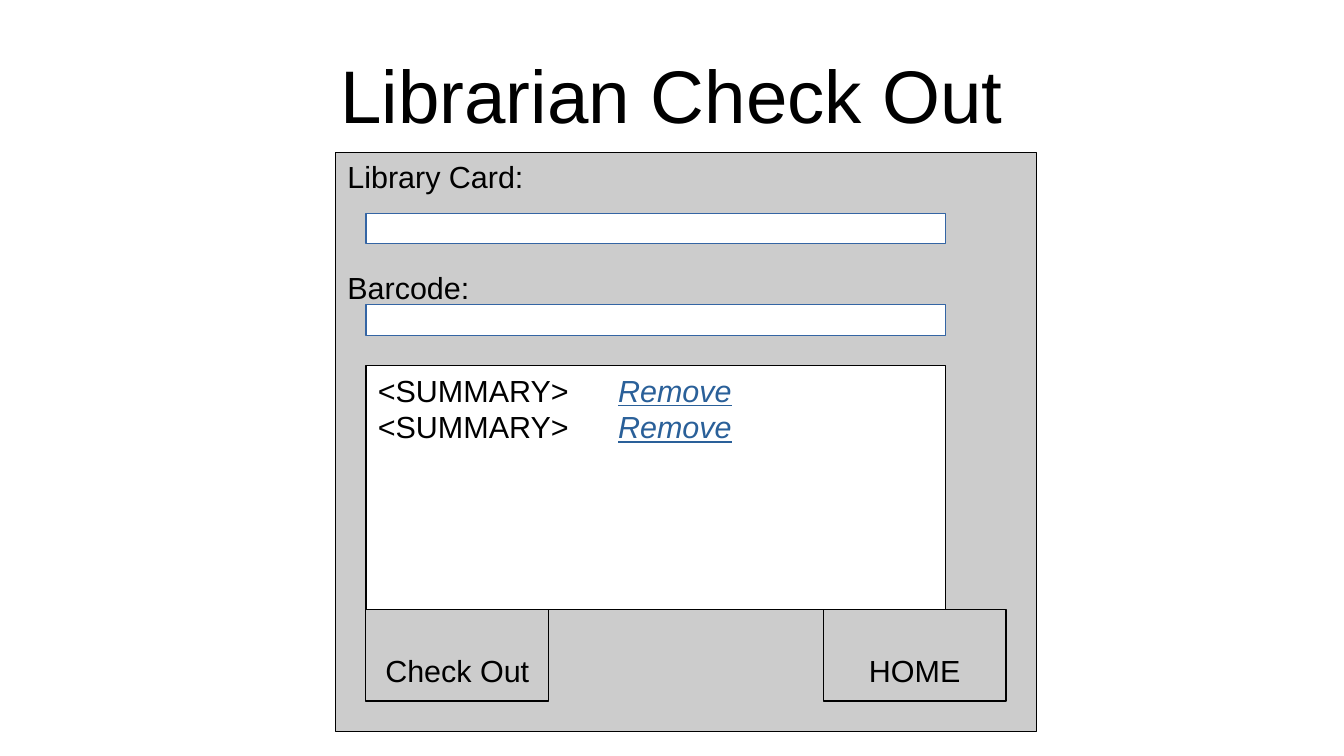
from pptx import Presentation
from pptx.dml.color import RGBColor
from pptx.enum.shapes import MSO_SHAPE
from pptx.enum.text import MSO_ANCHOR, PP_ALIGN
from pptx.oxml.ns import qn
from pptx.util import Inches, Pt
from lxml import etree

RECT = MSO_SHAPE.RECTANGLE
TOP, MIDDLE = MSO_ANCHOR.TOP, MSO_ANCHOR.MIDDLE
LEFT, CENTER = PP_ALIGN.LEFT, PP_ALIGN.CENTER

COLORS = {
    "black": "000000",
    "gray": "CCCCCC",
    "white": "FFFFFF",
    "field": "3465A4",
    "link": "2A6099",
}
LINK = {"italic": True, "underline": True}
FORM_LEFT, FORM_WIDTH = 3, 4.75
REMOVE_TAB = 1.97


def rgb(name):
    return RGBColor.from_string(COLORS[name])


def add_run(p, text, size=18, color="black", style=None):
    r = p.add_run()
    r.text = text
    formats = {"name": "Arial", "size": Pt(size), **(style or {})}
    for key, value in formats.items():
        setattr(r.font, key, value)
    r.font.color.rgb = rgb(color)


def set_frame(sp, anchor=TOP, side=0.1, top=0.05, bottom=0.05):
    tf = sp.text_frame
    formats = {
        "word_wrap": True,
        "vertical_anchor": anchor,
        "margin_left": Inches(side),
        "margin_right": Inches(side),
        "margin_top": Inches(top),
        "margin_bottom": Inches(bottom),
    }
    for key, value in formats.items():
        setattr(tf, key, value)
    return tf


def add_paragraph(tf, first, align=LEFT):
    p = tf.paragraphs[0] if first else tf.add_paragraph()
    p.alignment = align
    return p


def add_tab(p, position):
    tabs = etree.SubElement(p._p.get_or_add_pPr(), qn("a:tabLst"))
    etree.SubElement(tabs, qn("a:tab"), pos=str(Inches(position)), algn="l")


def add_box(s, x, y, w, h, fill="gray", line="black"):
    sp = s.shapes.add_shape(RECT, Inches(x), Inches(y), Inches(w), Inches(h))
    sp.shadow.inherit = False
    sp.fill.solid()
    sp.fill.fore_color.rgb = rgb(fill)
    sp.line.color.rgb = rgb(line)
    sp.line.width = Pt(0)
    return sp


def add_title(s, text):
    sp = s.shapes.add_textbox(Inches(0.55), Inches(0.25), Inches(9.92), Inches(1.04))
    tf = set_frame(sp, MIDDLE, side=0, top=0, bottom=0)
    add_run(add_paragraph(tf, True, CENTER), text, size=44)


def add_panel(s, labels):
    tf = set_frame(add_box(s, 2.75, 1.25, 5.75, 4.75))
    for i, label in enumerate(labels):
        p = add_paragraph(tf, i == 0)
        p.space_before = Pt(44 * i)
        add_run(p, label)


def add_field(s, y):
    add_box(s, FORM_LEFT, y, FORM_WIDTH, 0.25, "white", "field")


def add_button(s, x, text):
    tf = set_frame(add_box(s, x, 5, 1.5, 0.75), top=0.35)
    add_run(add_paragraph(tf, True, CENTER), text)


def add_summary(s, items):
    tf = set_frame(add_box(s, FORM_LEFT, 3, FORM_WIDTH, 2, "white"))
    for i, item in enumerate(items):
        p = add_paragraph(tf, i == 0)
        add_tab(p, REMOVE_TAB)
        add_run(p, item + "\t")
        add_run(p, "Remove", color="link", style=LINK)


def main():
    prs = Presentation()
    prs.slide_width, prs.slide_height = Inches(11.02), Inches(6.2)
    s = prs.slides.add_slide(prs.slide_layouts[6])

    # Title and form panel
    add_title(s, "Librarian Check Out")
    add_panel(s, ["Library Card:", "Barcode:"])

    # Input fields
    for y in (1.75, 2.5):
        add_field(s, y)

    # Buttons
    for x, text in ((FORM_LEFT, "Check Out"), (6.75, "HOME")):
        add_button(s, x, text)

    # Scanned items
    add_summary(s, ["<SUMMARY>"] * 2)

    prs.save("out.pptx")


if __name__ == "__main__":
    main()
